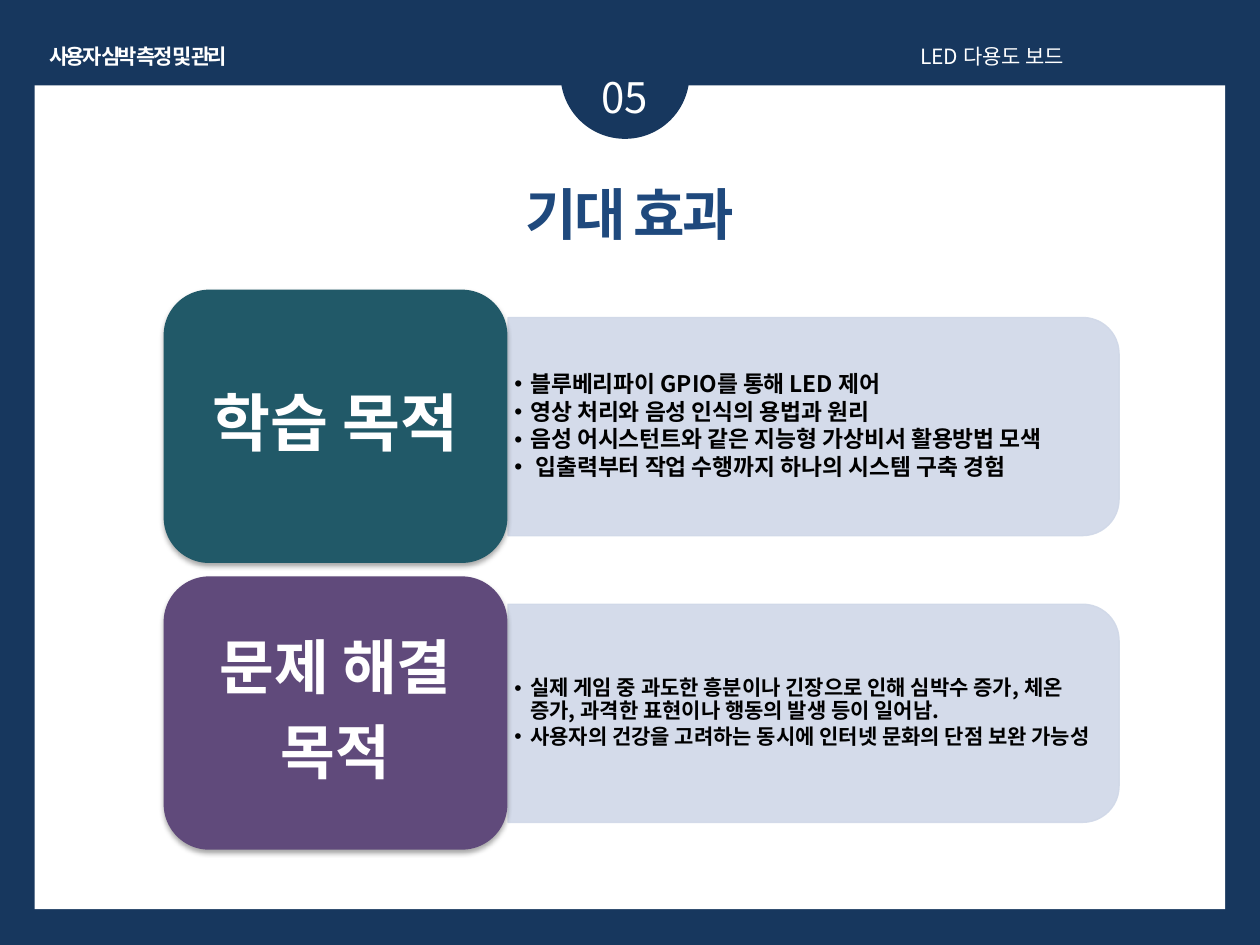
from lxml import etree
from pptx import Presentation
from pptx.dml.color import RGBColor
from pptx.enum.shapes import MSO_SHAPE
from pptx.enum.text import MSO_ANCHOR, MSO_AUTO_SIZE, PP_ALIGN
from pptx.oxml import parse_xml
from pptx.oxml.ns import qn
from pptx.util import Cm, Pt

FONT = "Noto Sans CJK KR"
NAVY = RGBColor(0x17, 0x37, 0x5E)
BLUE = RGBColor(0x1F, 0x49, 0x7D)
PALE = RGBColor(0xD0, 0xD8, 0xE8)
TEAL = RGBColor(0x21, 0x59, 0x68)
PLUM = RGBColor(0x60, 0x4A, 0x7B)
WHITE = RGBColor(0xFF, 0xFF, 0xFF)
BLACK = RGBColor(0, 0, 0)

RECT = MSO_SHAPE.RECTANGLE
OVAL = MSO_SHAPE.OVAL
ROUND = MSO_SHAPE.ROUNDED_RECTANGLE
TAB = MSO_SHAPE.ROUND_2_SAME_RECTANGLE
LEFT, MID, JUST = PP_ALIGN.LEFT, PP_ALIGN.CENTER, PP_ALIGN.JUSTIFY
MIDDLE, FIXED = MSO_ANCHOR.MIDDLE, MSO_AUTO_SIZE.NONE

SHADOW = (
    '<a:effectLst xmlns:a="http://schemas.openxmlformats.org/drawingml/2006/main">'
    '<a:outerShdw blurRad="39370" dist="22860" dir="5400000" rotWithShape="0">'
    '<a:srgbClr val="000000"><a:alpha val="35000"/></a:srgbClr>'
    '</a:outerShdw></a:effectLst>')

ROW_TOP, ROW_STEP = 8.6, 5.78  # centre of the first row, distance to the next
ROWS = [
    (["학습 목적"], 36, TEAL, 13, [
        "블루베리파이 GPIO를 통해 LED 제어",
        "영상 처리와 음성 인식의 용법과 원리",
        "음성 어시스턴트와 같은 지능형 가상비서 활용방법 모색",
        " 입출력부터 작업 수행까지 하나의 시스템 구축 경험"]),
    (["문제 해결", "목적"], 34, PLUM, 12, [
        "실제 게임 중 과도한 흥분이나 긴장으로 인해 심박수 증가, 체온 증가, "
        "과격한 표현이나 행동의 발생 등이 일어남.",
        "사용자의 건강을 고려하는 동시에 인터넷 문화의 단점 보완 가능성"]),
]


def put_text(shape, lines, size, color, bold=False, align=MID, track=0,
             line=1, after=0, pad=(0.25, 0.13), wrap=True, bullet=False):
    """Fill a shape with formatted paragraphs; after is a share of the size."""
    frame = shape.text_frame
    frame.auto_size = FIXED
    frame.word_wrap = wrap
    frame.vertical_anchor = MIDDLE
    frame.margin_left = frame.margin_right = Cm(pad[0])
    frame.margin_top = frame.margin_bottom = Cm(pad[1])
    for i, words in enumerate(lines):
        para = frame.paragraphs[0] if i == 0 else frame.add_paragraph()
        para.alignment = align
        para.line_spacing = line
        para.space_before = Pt(0)
        para.space_after = Pt(round(size * after, 1))
        run = para.add_run()
        run.text = words
        font = run.font
        font.size, font.bold, font.name = Pt(size), bold, FONT
        font.color.rgb = color
        props = run._r.get_or_add_rPr()
        etree.SubElement(props, qn("a:ea"), typeface=FONT)
        if track:
            props.set("spc", str(int(track * 100)))
        if bullet:
            add_dot(para)


def add_dot(para):
    """Give a paragraph a hanging round bullet."""
    props = para._p.get_or_add_pPr()
    props.set("marL", str(Cm(0.32)))
    props.set("indent", str(-Cm(0.32)))
    etree.SubElement(props, qn("a:buChar"), char="•")


def add_form(slide, kind, box, color, shade=False):
    """Add a plain filled shape, with a soft shadow if asked."""
    form = slide.shapes.add_shape(kind, *map(Cm, box))
    form.fill.solid()
    form.fill.fore_color.rgb = color
    form.line.fill.background()
    form.shadow.inherit = False
    if shade:
        props = form._element.spPr
        props.replace(props.find(qn("a:effectLst")), parse_xml(SHADOW))
    return form


def add_panel(slide, mid):
    """Add the pale panel, rounded on its right side, centred at mid."""
    panel = add_form(slide, TAB, (14.2, mid - 6.16, 4.4, 12.32), PALE)
    panel.rotation = 90
    panel.line.color.rgb = PALE
    panel.line.width = Pt(0.75)
    for tint in panel._element.spPr.iter(qn("a:srgbClr")):
        etree.SubElement(tint, qn("a:alpha"), val="90000")


def add_label(slide, box, words, size, color, **style):
    """Add a text box with one line."""
    label = slide.shapes.add_textbox(*map(Cm, box))
    put_text(label, [words], size, color, **style)


def place(holder, box):
    """Move a placeholder to a box and bring it to the front."""
    holder.left, holder.top, holder.width, holder.height = map(Cm, box)
    node = holder._element
    node.getparent().append(node)


def add_row(slide, holder, mid, row):
    """Add a card and its panel with the list."""
    heads, big, color, small, items = row
    add_panel(slide, mid)
    place(holder, (10.24, mid - 2, 12.12, 4))
    put_text(holder, items, small, BLACK, bold=True, align=LEFT, line=0.9,
             after=0.15, pad=(0.13, 0.08), bullet=True)
    card = add_form(slide, ROUND, (3.3, mid - 2.76, 6.93, 5.51), color, True)
    put_text(card, heads, big, WHITE, bold=True, line=0.9, after=0.35,
             pad=(0.63, 0.43))


def main():
    """Build the slide and save it."""
    deck = Presentation()
    deck.slide_width, deck.slide_height = Cm(25.4), Cm(19.05)
    slide = deck.slides.add_slide(deck.slide_layouts[3])
    title, *lists = list(slide.placeholders)
    back = slide.background.fill
    back.solid()
    back.fore_color.rgb = NAVY

    add_form(slide, RECT, (0.7, 1.72, 24, 16.61), WHITE)
    add_form(slide, OVAL, (11.3, 0.2, 2.6, 2.6), NAVY)
    add_label(slide, (11.1, 1.32, 3, 1.27), "05", 24, WHITE)
    place(title, (6.9, 3.48, 11.6, 1.63))
    put_text(title, ["기대 효과"], 32, BLUE, bold=True, track=-1.5)

    for i, (holder, row) in enumerate(zip(lists, ROWS)):
        add_row(slide, holder, ROW_TOP + i * ROW_STEP, row)

    add_label(slide, (18.3, 0.76, 6.6, 0.76), "LED 다용도 보드", 12, WHITE,
              align=JUST)
    add_label(slide, (0.46, 0.76, 4.65, 0.76), "사용자 심박 측정 및 관리", 12,
              WHITE, bold=True, track=-1.5, wrap=False)
    deck.save("out.pptx")


main()
